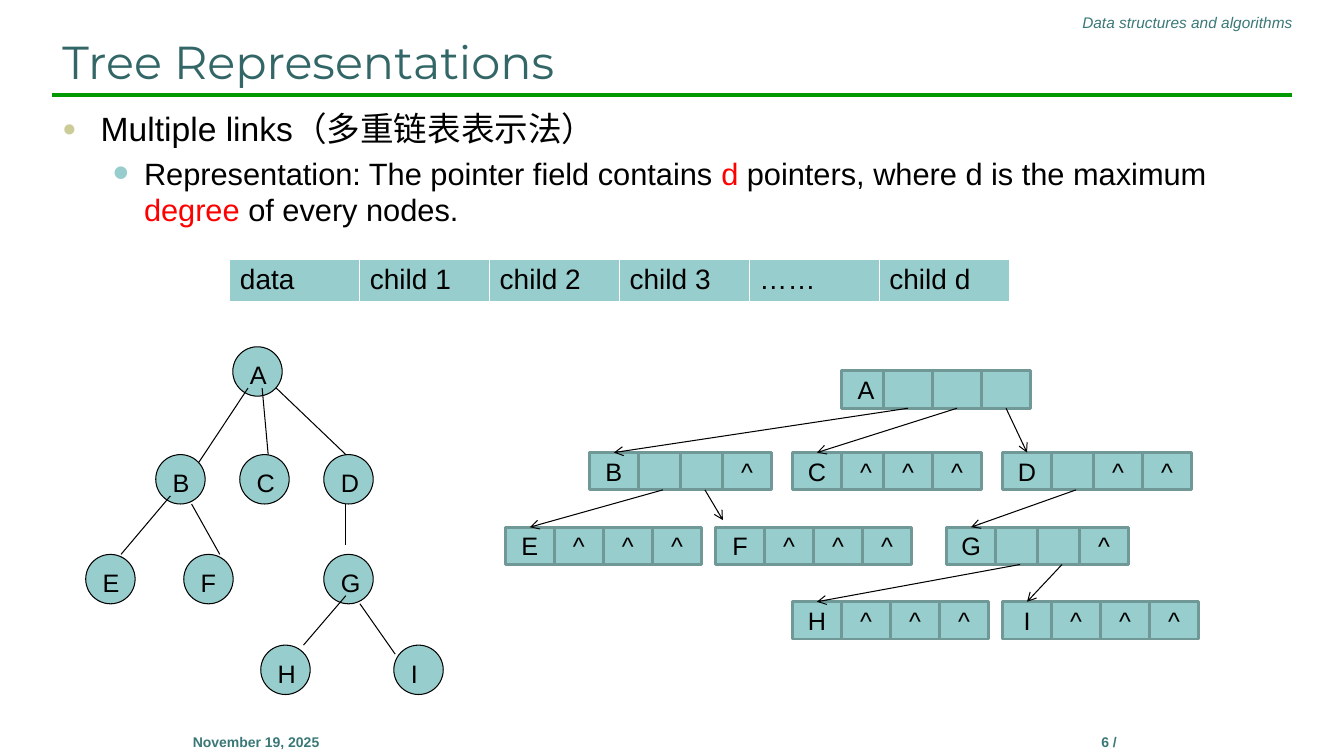
import pptx
import pptx.util
import pptx.dml.color
import pptx.enum.shapes
import pptx.enum.text
import pptx.oxml
import pptx.oxml.ns

COLORS = {
    "teal": "97CDCC", "edge": "709897", "title": "336666", "footer": "3A7877",
    "rule": "009900", "olive": "CCCC99", "red": "FF0000", "black": "000000", "white": "FFFFFF",
}
HEADER = "Data structures and algorithms"
TITLE = "Tree Representations"
FOOTERS = [("November 19, 2025", 1.04), ("6 /", 9.5)]
BODY = [
    {"left": 0.38, "hang": 0.38, "bullet": "●", "share": 70, "color": "olive", "size": 24,
     "runs": [("Multiple links（多重链表表示法）", "black")]},
    {"left": 0.81, "hang": 0.31, "bullet": "•", "share": 150, "color": "teal", "size": 22,
     "runs": [("Representation: The pointer field contains ", "black"), ("d", "red"),
              (" pointers, where d is the maximum ", "black"), ("degree", "red"),
              (" of every nodes.", "black")]},
]
FIELDS = ["data", "child 1", "child 2", "child 3", "……", "child d"]

TREE_ROWS = [3.44, 4.51, 5.5, 6.4]
TREE_NODES = [("A", 0, 21), ("B", 1, 10), ("C", 1, 22), ("D", 1, 34), ("E", 2, 0),
              ("F", 2, 14), ("G", 2, 34), ("H", 3, 25), ("I", 3, 44)]
TREE_EDGES = [
    (2.46, 3.85, 1.97, 4.59), (2.6, 3.85, 2.66, 4.51), (2.74, 3.85, 3.43, 4.51),
    (1.69, 4.92, 1.2, 5.5), (1.9, 5, 2.18, 5.5), (3.43, 5, 3.43, 5.41),
    (3.43, 5.91, 3.01, 6.4), (3.57, 5.99, 3.92, 6.49),
]

RECORD_ROWS = [3.68, 4.49, 5.23, 5.97]
WIDE, NARROW = 7, 6
RECORDS = [
    ("A", 0, 48, (NARROW, WIDE, WIDE), "BCD"),
    ("B", 1, 12, (WIDE, NARROW, NARROW), "EF"),
    ("C", 1, 41, (WIDE, NARROW, WIDE), ""),
    ("D", 1, 71, (WIDE, NARROW, WIDE), "G"),
    ("E", 2, 0, (WIDE, WIDE, WIDE), ""),
    ("F", 2, 30, (WIDE, WIDE, WIDE), ""),
    ("G", 2, 63, (WIDE, NARROW, NARROW), "HI"),
    ("H", 3, 41, (WIDE, WIDE, WIDE), ""),
    ("I", 3, 71, (WIDE, WIDE, WIDE), ""),
]
LOOSE_ENDS = {"F": (7.17, 5.16)}
UNIT = 6.39 / 92
TREE_LEFT, RECORD_LEFT = 0.85, 5.01
NODE, CELL_HEIGHT = 0.49, 0.37

inch = pptx.util.Inches
align = pptx.enum.text.PP_ALIGN
anchors = pptx.enum.text.MSO_ANCHOR
presets = pptx.enum.shapes.MSO_SHAPE
qn = pptx.oxml.ns.qn
NS = pptx.oxml.ns.nsdecls("a")


def rgb(name):
    return pptx.dml.color.RGBColor.from_string(COLORS[name])


def add_run(para, text, size, color="black", font="Arial", bold=False, italic=False):
    span = para.add_run()
    span.text = text
    span.font.size = pptx.util.Pt(size)
    span.font.name = font
    span.font.bold = bold
    span.font.italic = italic
    span.font.color.rgb = rgb(color)


def add_box(page, left, top, width, height, anchor=anchors.TOP):
    box = page.shapes.add_textbox(inch(left), inch(top), inch(width), inch(height))
    box.text_frame.word_wrap = True
    box.text_frame.vertical_anchor = anchor
    return box.text_frame.paragraphs[0]


def add_shape(page, preset, left, top, width, height, edge, weight):
    shape = page.shapes.add_shape(preset, inch(left), inch(top), inch(width), inch(height))
    shape.shadow.inherit = False
    shape.fill.solid()
    shape.fill.fore_color.rgb = rgb("teal")
    shape.line.color.rgb = rgb(edge)
    shape.line.width = pptx.util.Pt(weight)
    return shape


def add_line(page, x1, y1, x2, y2, color="black", weight=0.75, arrow=False):
    line = page.shapes.add_connector(pptx.enum.shapes.MSO_CONNECTOR.STRAIGHT,
                                     inch(x1), inch(y1), inch(x2), inch(y2))
    line.line.color.rgb = rgb(color)
    line.line.width = pptx.util.Pt(weight)
    properties = line._element.spPr
    if arrow:
        properties.find(qn("a:ln")).append(pptx.oxml.parse_xml(f'<a:tailEnd {NS} type="arrow"/>'))
    properties.append(pptx.oxml.parse_xml(f"<a:effectLst {NS}/>"))
    return line


def add_frame(page):
    add_line(page, 0.52, 0.94, 12.81, 0.94, "rule", 3)
    para = add_box(page, 5.63, 0.08, 7.29, 0.29)
    para.alignment = align.RIGHT
    add_run(para, HEADER, 11, "footer", italic=True)
    for text, left in FOOTERS:
        para = add_box(page, left, 7.23, 3, 0.5)
        para.alignment = align.CENTER
        add_run(para, text, 10, "footer", bold=True)
    add_run(add_box(page, 0.52, 0.23, 12.29, 0.7, anchors.BOTTOM), TITLE, 33, "title", "Montserrat")


def add_body(page):
    para = add_box(page, 0.52, 1.02, 12.29, 6.09)
    frame = page.shapes[-1].text_frame
    for index, item in enumerate(BODY):
        if index:
            para = frame.add_paragraph()
            para.level = index
        settings = para._p.get_or_add_pPr()
        settings.set("marL", str(inch(item["left"])))
        settings.set("indent", str(-inch(item["hang"])))
        for xml in (
            f'<a:spcBef {NS}><a:spcPct val="20000"/></a:spcBef>',
            f'<a:buClr {NS}><a:srgbClr val="{COLORS[item["color"]]}"/></a:buClr>',
            f'<a:buSzPct {NS} val="{item["share"] * 1000}"/>',
            f'<a:buFont {NS} typeface="Arial"/>',
            f'<a:buChar {NS} char="{item["bullet"]}"/>',
        ):
            settings.append(pptx.oxml.parse_xml(xml))
        for text, color in item["runs"]:
            add_run(para, text, item["size"], color)


def add_fields(page):
    holder = page.shapes.add_table(1, len(FIELDS), inch(2.28), inch(2.57), inch(7.73), inch(0.41))
    table = holder.table
    table.first_row = table.horz_banding = False
    for cell, text in zip(table.rows[0].cells, FIELDS):
        settings = cell._tc.get_or_add_tcPr()
        for side, weight in zip("LRTB", (1, 1, 1, 3)):
            settings.append(pptx.oxml.parse_xml(
                f'<a:ln{side} {NS} w="{pptx.util.Pt(weight)}"><a:solidFill>'
                f'<a:srgbClr val="{COLORS["white"]}"/></a:solidFill></a:ln{side}>'))
        cell.fill.solid()
        cell.fill.fore_color.rgb = rgb("teal")
        add_run(cell.text_frame.paragraphs[0], text, 20)


def add_tree(page):
    for name, row, column in TREE_NODES:
        left, top = TREE_LEFT + column * UNIT, TREE_ROWS[row]
        add_shape(page, presets.OVAL, left, top, NODE, NODE, "black", 0.75)
        add_run(add_box(page, left + 0.07, top + 0.08, 0.42, 0.42), name, 18)
    for edge in TREE_EDGES:
        add_line(page, *edge)


def add_records(page):
    cells = {}
    for name, row, column, steps, children in RECORDS:
        cells[name] = []
        nulls = len(steps) - len(children)
        texts = [name] + [""] * len(children) + ["^"] * nulls
        for index, text in enumerate(texts):
            left = RECORD_LEFT + (column + sum(steps[:index])) * UNIT
            cell = add_shape(page, presets.RECTANGLE, left, RECORD_ROWS[row],
                             NODE, CELL_HEIGHT, "edge", 2)
            cells[name].append(cell)
            if text:
                cell.text_frame.vertical_anchor = anchors.MIDDLE
                para = cell.text_frame.paragraphs[0]
                para.alignment = align.CENTER
                add_run(para, text, 18)
    for name, row, column, steps, children in RECORDS:
        for pointer, child in zip(cells[name][1:], children):
            end = LOOSE_ENDS.get(child, (0, 0))
            arrow = add_line(page, 0, 0, *end, arrow=True)
            arrow.begin_connect(pointer, 2)
            if child not in LOOSE_ENDS:
                arrow.end_connect(cells[child][0], 0)


def main():
    deck = pptx.Presentation()
    deck.slide_width, deck.slide_height = inch(13.33), inch(7.5)
    page = deck.slides.add_slide(deck.slide_layouts[6])
    for build in (add_frame, add_body, add_tree, add_fields, add_records):
        build(page)
    deck.save("out.pptx")


if __name__ == "__main__":
    main()
